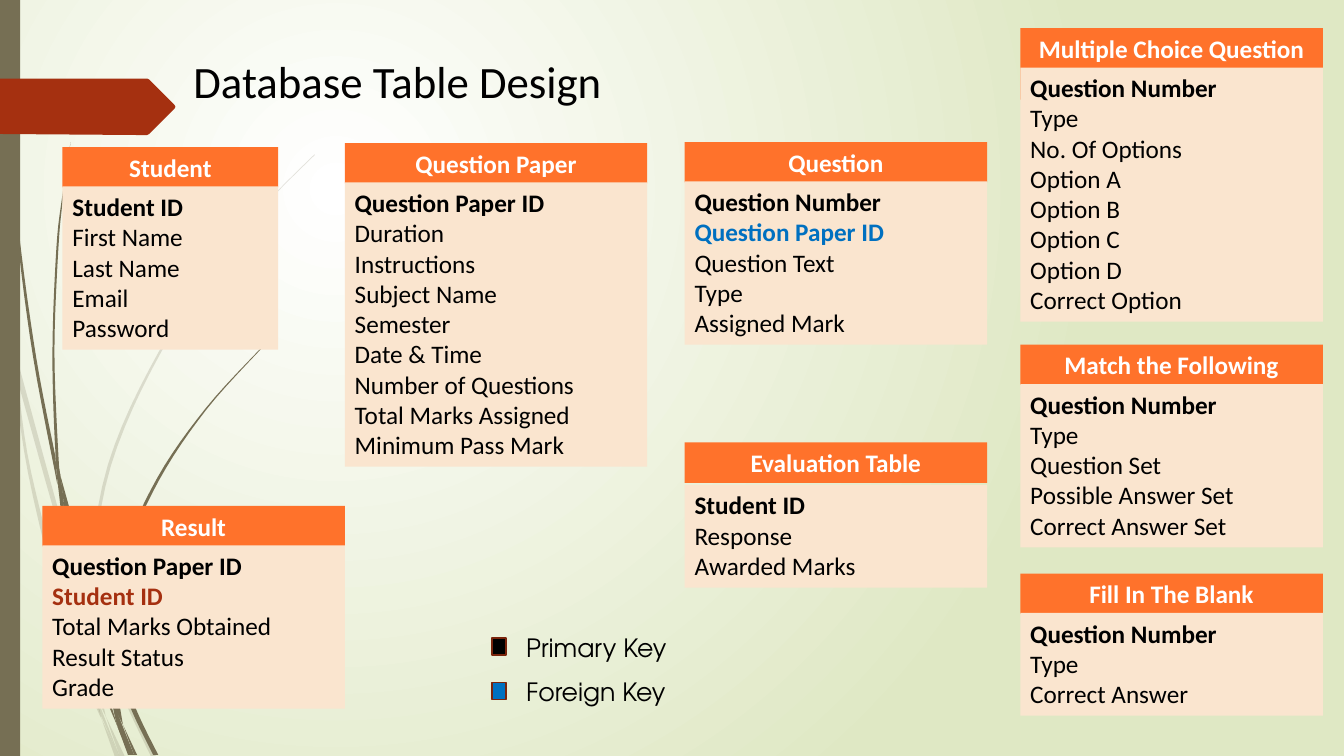
from lxml import etree
from pptx import Presentation
from pptx.dml.color import RGBColor
from pptx.enum.text import PP_ALIGN, MSO_ANCHOR
from pptx.oxml.ns import qn
from pptx.util import Inches, Pt

LEFT, CENTER, TOP = PP_ALIGN.LEFT, PP_ALIGN.CENTER, MSO_ANCHOR.TOP
RECT = 1
WIDE, HIGH = 13.33, 7.5
BODY, KEYS = "Calibri", "TeX Gyre Adventor"
HUE = {"pale": "DFE8C4", "stem": "766F54", "tab": "A53010", "head": "FF722B",
       "body": "FAE5CF", "white": "FFFFFF", "black": "000000",
       "blue": "0070C0", "edge": "7A240C"}

# Content: (left, top, width, name, fields); the first field is the primary key
COLS = {"a": 0.42, "b": 3.42, "c": 6.79, "d": 10.12}
CARDS = [
    (0.62, 1.46, 2.14, "Student",
     ["Student ID", "First Name", "Last Name", "Email", "Password"]),
    (COLS["b"], 1.42, 3, "Question Paper",
     ["Question Paper ID", "Duration", "Instructions", "Subject Name", "Semester",
      "Date & Time", "Number of Questions", "Total Marks Assigned",
      "Minimum Pass Mark"]),
    (COLS["a"], 5.02, 3, "Result",
     ["Question Paper ID", "Student ID", "Total Marks Obtained", "Result Status",
      "Grade"]),
    (COLS["c"], 1.41, 3, "Question",
     ["Question Number", "Question Paper ID", "Question Text", "Type",
      "Assigned Mark"]),
    (COLS["d"], 0.28, 3, "Multiple Choice Question",
     ["Question Number", "Type", "No. Of Options", "Option A", "Option B",
      "Option C", "Option D", "Correct Option"]),
    (COLS["d"], 5.69, 3, "Fill In The Blank",
     ["Question Number", "Type", "Correct Answer"]),
    (COLS["d"], 3.42, 3, "Match the Following",
     ["Question Number", "Type", "Question Set", "Possible Answer Set",
      "Correct Answer Set"]),
    (COLS["c"], 4.39, 3, "Evaluation Table",
     ["Student ID", "Response", "Awarded Marks"]),
]
FOREIGN = {("Result", "Student ID"): "tab", ("Question", "Question Paper ID"): "blue"}
TALL = {"Multiple Choice Question": 0.71}   # header height where not 0.4
DROP = {"Evaluation Table": 0.42}           # body offset where not 0.39
LEGEND = [("Primary Key", "black"), ("Foreign Key", "blue")]

# Grass blades: two edges each, smoothed on their own
FAINT = [
    ([(.11, 3.5), (.09, 3.22), (0, 2.82)], [(0, 2.99), (.1, 3.44), (.11, 3.5)]),
    ([(.14, 3.45), (.62, 5.2), (.85, 5.86)],
     [(.84, 5.99), (.58, 5.22), (.17, 3.76)]),
    ([(.88, 5.96), (.92, 6.07), (1.27, 6.92), (1.55, 7.51)],
     [(1.5, 7.51), (1.23, 6.94), (.88, 6.1)]),
    ([(1.05, 7.11), (1.24, 7.51)], [(1.19, 7.51), (1.05, 7.11)]),
    ([(.11, 3.5), (.17, 3.76), (.31, 4.69), (.7, 6.19), (.93, 6.83), (1.01, 7.14)],
     [(1.01, 7.14), (.92, 6.93), (.65, 6.21), (.28, 4.7), (.11, 3.5)]),
    ([(.84, 5.99), (.87, 6.46), (.93, 6.83), (1.05, 7.11)],
     [(1.05, 7.11), (.91, 6.46), (.88, 6.08), (.84, 5.99)]),
    ([(.85, 5.86), (.85, 5.84), (1.07, 4.61), (1.58, 3.48), (2.28, 2.44),
      (2.68, 1.97), (3.12, 1.53)],
     [(3.12, 1.54), (2.68, 1.98), (2.29, 2.45), (1.6, 3.49), (1.1, 4.62),
      (.88, 5.84), (.88, 5.96)]),
    ([(1.01, 7.14), (1.14, 7.51)], [(1.19, 7.51), (1.01, 7.14)]),
    ([(.93, 6.83), (.99, 7.07), (1.19, 7.51)], [(1.19, 7.51), (.96, 6.92), (.93, 6.83)]),
]
SOLID = [
    ([(.03, 0), (.07, 1.1), (.17, 2.33), (.33, 3.55), (.57, 4.81)],
     [(.55, 4.53), (.36, 3.55), (.19, 2.32), (.08, 1.09), (.04, 0)]),
    ([(.6, 4.72), (.93, 5.9), (1.06, 6.31)], [(1.06, 6.45), (.88, 5.92), (.64, 5.05)]),
    ([(1.1, 6.41), (1.36, 7.06), (1.57, 7.49)],
     [(1.52, 7.49), (1.32, 7.08), (1.11, 6.56)]),
    ([(.57, 4.77), (.64, 5.05), (.72, 5.56), (.98, 6.57), (1.17, 7.22)],
     [(1.17, 7.22), (.93, 6.59), (.68, 5.57), (.57, 4.77)]),
    ([(.7, 1.41), (.62, 1.93), (.56, 2.45), (.52, 3.49), (.55, 4.49), (.6, 4.72)],
     [(.6, 4.72), (.58, 4.53), (.54, 3.49), (.58, 2.45), (.63, 1.93), (.7, 1.41)]),
    ([(1.22, 7.19), (1.36, 7.49)], [(1.33, 7.49), (1.22, 7.19)]),
    ([(.55, 4.49), (.6, 4.72), (.64, 5.05)], [(.64, 5.05), (.57, 4.77), (.55, 4.49)]),
    ([(1.06, 6.31), (1.22, 5.51), (1.56, 4.74), (2.04, 4.05), (2.6, 3.44)],
     [(2.61, 3.44), (2.05, 4.06), (1.58, 4.76), (1.25, 5.52), (1.11, 6.33),
      (1.1, 6.41)]),
    ([(1.17, 7.22), (1.31, 7.49)], [(1.27, 7.49), (1.17, 7.22)]),
    ([(1.06, 6.45), (1.1, 6.91), (1.22, 7.19)], [(1.22, 7.19), (1.11, 6.56), (1.06, 6.45)]),
    ([(1.1, 6.91), (1.17, 7.22), (1.3, 7.49)], [(1.33, 7.49), (1.16, 7.06), (1.1, 6.91)]),
]
TAB = [(0, .78), (1.46, .78), (1.48, .79), (1.73, 1.04), (1.74, 1.06), (1.73, 1.08),
       (1.48, 1.33), (1.46, 1.34), (1.36, 1.34), (0, 1.33)]

deck = Presentation()
deck.slide_width, deck.slide_height = Inches(WIDE), Inches(HIGH)
slide = deck.slides.add_slide(deck.slide_layouts[6])
shapes = slide.shapes


def tint(hue):
    return RGBColor.from_string(HUE[hue])


def paint(shape, hue, alpha=None):
    shape.shadow.inherit = False
    shape.fill.solid()
    shape.fill.fore_color.rgb = tint(hue)
    shape.line.fill.background()
    if alpha:
        clr = shape.fill._xPr.find(".//" + qn("a:srgbClr"))
        etree.SubElement(clr, qn("a:alpha")).set("val", str(alpha * 1000))
    return shape


def rect(x, y, w, h, hue):
    return paint(shapes.add_shape(RECT, *map(Inches, (x, y, w, h))), hue)


def write(shape, rows, size=18, font=BODY, align=LEFT):
    """Each row is (text, hue, bold)."""
    frame = shape.text_frame
    frame.word_wrap, frame.vertical_anchor = True, TOP
    for i, (text, hue, bold) in enumerate(rows):
        para = frame.add_paragraph() if i else frame.paragraphs[0]
        para.alignment = align
        run = para.add_run()
        run.text = text
        run.font.size, run.font.name, run.font.bold = Pt(size), font, bold
        run.font.color.rgb = tint(hue)


def label(x, y, w, h, text, **style):
    write(shapes.add_textbox(*map(Inches, (x, y, w, h))),
          [(text, "black", False)], **style)


def smooth(pts, steps=6):
    """Catmull-Rom curve through the points."""
    ends = [pts[0], *pts, pts[-1]]
    out = [pts[0]]
    for a, b, c, d in zip(ends, ends[1:], ends[2:], ends[3:]):
        for k in range(1, steps + 1):
            t = k / steps
            out.append(tuple(
                q + t * (r - p) / 2 + t * t * (2 * p - 5 * q + 4 * r - s) / 2
                + t ** 3 * (3 * q - p - 3 * r + s) / 2
                for p, q, r, s in zip(a, b, c, d)))
    return out


def outline(pts, hue, alpha=None):
    spots = [(Inches(x), Inches(y)) for x, y in pts]
    pen = shapes.build_freeform(*spots[0])
    pen.add_line_segments(spots[1:])
    paint(pen.convert_to_shape(), hue, alpha)


# Background glow, centred a quarter of the way in
fill = slide.background.fill
fill.gradient()
for stop, hue in zip(fill.gradient_stops, ("white", "pale")):
    stop.color.rgb = tint(hue)
grad = slide.element.find(".//" + qn("a:gradFill"))
grad.remove(grad.find(qn("a:lin")))
glow = etree.SubElement(grad, qn("a:path"), {"path": "circle"})
etree.SubElement(glow, qn("a:fillToRect"),
                 {"l": "50000", "t": "50000", "r": "100000", "b": "100000"})

# Grass, side bar and title tab
for blades, alpha in ((FAINT, 20), (SOLID, None)):
    for one, two in blades:
        outline(smooth(one) + smooth(two), "stem", alpha)
rect(0, 0, 0.2, HIGH, "stem")
outline(TAB, "tab")

# Table cards
for x, y, w, name, fields in CARDS:
    head = rect(x, y, w, TALL.get(name, 0.4), "head")
    write(head, [(name, "white", True)], align=CENTER)
    body = rect(x, y + DROP.get(name, 0.39), w, 0.12 + 0.3 * len(fields), "body")
    write(body, [(f, FOREIGN.get((name, f), "black"),
                  i == 0 or (name, f) in FOREIGN) for i, f in enumerate(fields)])

# Title and legend
label(1.82, 0.48, 5.23, 0.64, "Database Table Design", size=32)
for i, (text, hue) in enumerate(LEGEND):
    y = 6.22 + 0.44 * i
    box = rect(4.88, y + 0.11, 0.14, 0.17, hue)
    box.line.color.rgb, box.line.width = tint("edge"), Pt(1.25)
    label(5.12, y, 3, 0.4, text, font=KEYS)

deck.save("out.pptx")
